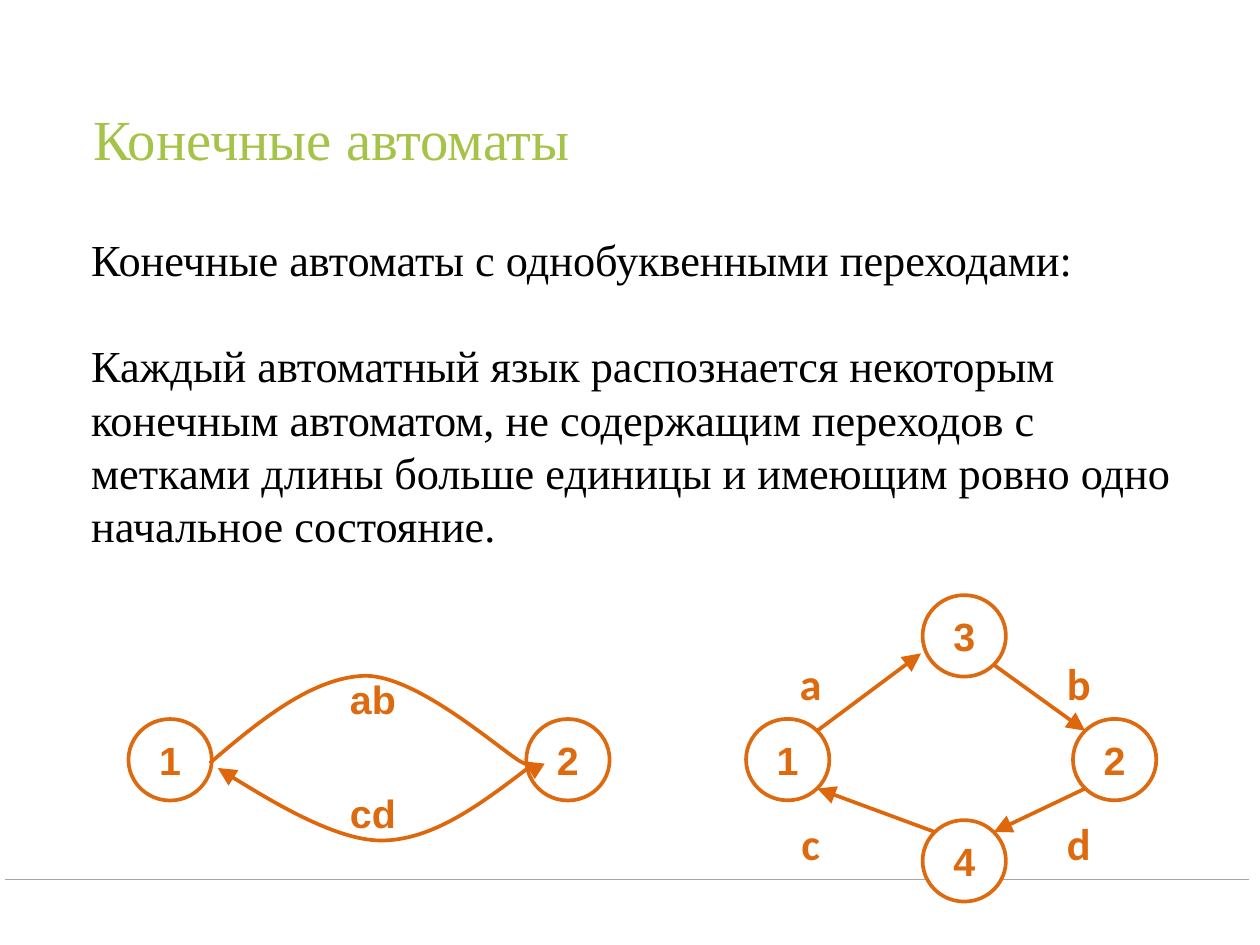
from lxml.etree import SubElement
from pptx import Presentation
from pptx.dml.color import RGBColor
from pptx.enum.shapes import MSO_CONNECTOR, MSO_SHAPE
from pptx.enum.text import MSO_ANCHOR, PP_ALIGN
from pptx.oxml.ns import qn
from pptx.util import Inches, Pt

WIDTH, HEIGHT = 14.22, 10.67
NODE_W, NODE_H = 0.94, 0.92
DIAG = 0.71  # share of the radius at 45 degrees
COLORS = {"title": "A5C249", "text": "000000", "node": "DE6A10",
          "edge": "DE670B", "rule": "A6A6A6", "white": "FFFFFF"}


def color(name):
    return RGBColor.from_string(COLORS[name])


def place(box, share):
    """Turn shares of a box into slide inches."""
    x, y, w, h = box
    return x + share[0] * w, y + share[1] * h


def write(tf, text, size, font, tint, bold=False, inset=0.07):
    tf.text = text
    tf.margin_left = tf.margin_right = Inches(inset)
    tf.margin_top = tf.margin_bottom = Inches(inset)
    for p in tf.paragraphs:
        for r in p.runs:
            r.font.size, r.font.name, r.font.bold = Pt(size), font, bold
            r.font.color.rgb = color(tint)


def style_line(sp, tint, width, arrow=False):
    sp.line.color.rgb = color(tint)
    sp.line.width = Pt(width)
    if arrow:
        SubElement(sp.line._get_or_add_ln(), qn("a:tailEnd"),
                   type="triangle", w="lg", len="lg")


def add_line(slide, start, end, tint, width, arrow=False):
    ends = [Inches(v) for v in (*start, *end)]
    line = slide.shapes.add_connector(MSO_CONNECTOR.STRAIGHT, *ends)
    style_line(line, tint, width, arrow)
    SubElement(line._element.spPr, qn("a:effectLst"))


def add_text(slide, box, text, size, tint):
    tf = slide.shapes.add_textbox(*map(Inches, box)).text_frame
    tf.word_wrap = True
    write(tf, text, size, "Times New Roman", tint)
    return tf


def add_node(slide, center, name):
    x, y = center
    sp = slide.shapes.add_shape(
        MSO_SHAPE.OVAL, Inches(x - NODE_W / 2), Inches(y - NODE_H / 2),
        Inches(NODE_W), Inches(NODE_H))
    sp.shadow.inherit = False
    sp.fill.solid()
    sp.fill.fore_color.rgb = color("white")
    style_line(sp, "node", 3)
    tf = sp.text_frame
    write(tf, name, 32, "Arial", "node", True)
    tf.word_wrap = False
    tf.vertical_anchor = MSO_ANCHOR.MIDDLE
    tf.paragraphs[0].alignment = PP_ALIGN.CENTER


def add_label(slide, center, text, size, font):
    w, h = 1, 0.6
    x, y = center
    tf = slide.shapes.add_textbox(
        Inches(x - w / 2), Inches(y - h / 2), Inches(w), Inches(h)).text_frame
    write(tf, text, size, font, "node", True, inset=0)
    tf.vertical_anchor = MSO_ANCHOR.MIDDLE
    tf.paragraphs[0].alignment = PP_ALIGN.CENTER


def add_curve(slide, points):
    """Draw an arrow along Bezier points: a start, then three per section."""
    start, *rest = [(Inches(x), Inches(y)) for x, y in points]
    builder = slide.shapes.build_freeform(*start)
    builder.add_line_segments(rest, close=False)
    sp = builder.convert_to_shape()
    sp.shadow.inherit = False
    sp.fill.background()
    style_line(sp, "edge", 3, arrow=True)
    outline = next(sp._element.iter(qn("a:path")))
    segments = outline.findall(qn("a:lnTo"))
    for i in range(0, len(segments), 3):
        bezier = SubElement(outline, qn("a:cubicBezTo"))
        for segment in segments[i:i + 3]:
            bezier.append(segment[0])
            outline.remove(segment)


def add_word_automaton(slide, box):
    for name, share in {"1": (0, 0.51), "2": (1, 0.51)}.items():
        add_node(slide, place(box, share), name)
    curves = {
        "ab": [(0.1, 0.53), (0.23, 0.26), (0.36, 0.01), (0.49, 0), (0.62, 0),
               (0.82, 0.43), (0.88, 0.52), (0.95, 0.6), (0.92, 0.56), (0.89, 0.52)],
        "cd": [(0.9, 0.56), (0.78, 0.78), (0.66, 1), (0.53, 1),
               (0.41, 1), (0.13, 0.58), (0.12, 0.56)],
    }
    for (text, shares), row in zip(curves.items(), (0.14, 0.83)):
        add_curve(slide, [place(box, share) for share in shares])
        add_label(slide, place(box, (0.51, row)), text, 32, "Arial")


def add_letter_automaton(slide, box):
    nodes = {"1": (0, 0.55), "2": (1, 0.55), "3": (0.54, 0), "4": (0.54, 1)}
    centers = {name: place(box, share) for name, share in nodes.items()}
    for name, center in centers.items():
        add_node(slide, center, name)

    def rim(name, dx, dy):
        x, y = centers[name]
        return x + dx * NODE_W / 2, y + dy * NODE_H / 2

    edges = [(("1", DIAG, -DIAG), ("3", -1.04, 0.43)),
             (("3", DIAG, DIAG), ("2", -DIAG, -DIAG)),
             (("2", -DIAG, DIAG), ("4", DIAG, -DIAG)),
             (("4", -DIAG, -DIAG), ("1", DIAG, DIAG))]
    for start, end in edges:
        add_line(slide, rim(*start), rim(*end), "edge", 3, arrow=True)
    for row, letters in zip((0.21, 0.92), ("ab", "cd")):
        for column, letter in zip((0.07, 0.89), letters):
            add_label(slide, place(box, (column, row)), letter, 36, "Calibri")


def add_title(slide, box):
    tf = add_text(slide, box, "Конечные автоматы", 46, "title")
    tf.vertical_anchor = MSO_ANCHOR.MIDDLE
    tf.paragraphs[0].line_spacing = 0.9


def add_body(slide, box):
    tf = add_text(
        slide, box,
        "Конечные автоматы с однобуквенными переходами:\n"
        "Каждый автоматный язык распознается некоторым конечным автоматом, "
        "не содержащим переходов с метками длины больше единицы и имеющим "
        "ровно одно начальное состояние.", 36, "text")
    tf.paragraphs[1].space_before = Pt(43.5)


def main():
    prs = Presentation()
    prs.slide_width, prs.slide_height = Inches(WIDTH), Inches(HEIGHT)
    slide = prs.slides.add_slide(prs.slide_layouts[6])
    add_title(slide, (0.98, 0.57, 12.27, 2.06))
    add_line(slide, (0.06, 9.93), (14.1, 9.93), "rule", 1)
    add_body(slide, (0.96, 2.55, 12.53, 3.9))
    add_word_automaton(slide, (1.92, 7.63, 4.49, 1.86))
    add_letter_automaton(slide, (8.89, 7.18, 3.69, 2.54))
    prs.save("out.pptx")


if __name__ == "__main__":
    main()
